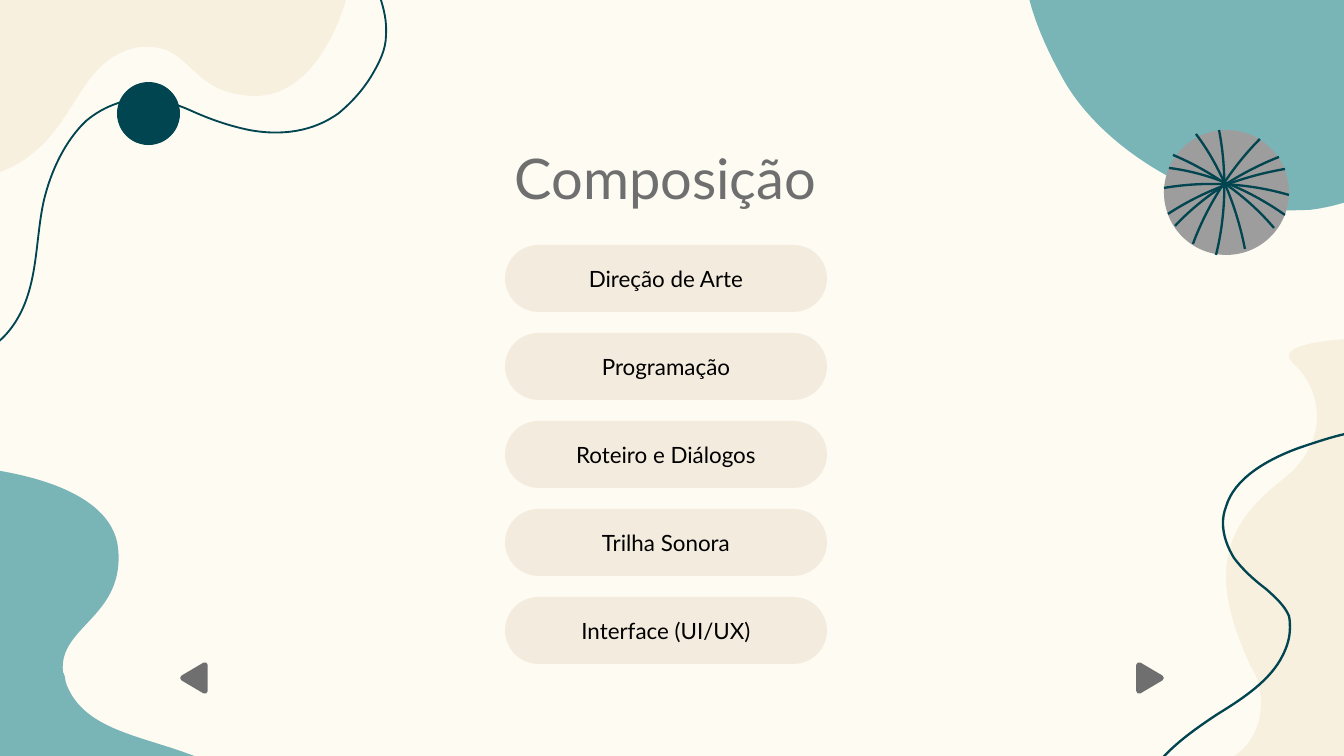
from lxml import etree
from pptx import Presentation
from pptx.dml.color import RGBColor
from pptx.enum.shapes import MSO_SHAPE
from pptx.enum.text import MSO_ANCHOR, PP_ALIGN
from pptx.oxml.ns import qn
from pptx.util import Pt

SCALE = 914400 / 134.4
CREAM, TEAL, DARK, GRAY = "F8F0DF", "79B4B7", "004550", "6F6F6F"


def px(n):
    return round(n * SCALE)


def paint(fmt, color):
    """Make a fill solid, or remove it when color is None."""
    if color is None:
        fmt.background()
    else:
        fmt.solid()
        fmt.fore_color.rgb = RGBColor.from_string(color)


def style(sp, fill=None, line=None, width=1):
    sp.shadow.inherit = False
    paint(sp.fill, fill)
    paint(sp.line.fill, line)
    if line:
        sp.line.width = Pt(width)
        etree.SubElement(sp.line._ln, qn("a:round"))
    return sp


def add_preset(s, kind, x, y, w, h, **look):
    sp = s.shapes.add_shape(kind, px(x), px(y), px(w), px(h))
    return style(sp, **look)


def add_curve(s, x, y, start, segments, close=False, **look):
    """Each segment is a line end (x, y) or three curve points in six numbers."""
    fb = s.shapes.build_freeform(px(x + start[0]), px(y + start[1]))
    fb.add_line_segments([(px(x + seg[-2]), px(y + seg[-1])) for seg in segments],
                         close=close)
    sp = fb.convert_to_shape()
    steps = list(sp._element.iter(qn("a:lnTo")))
    for step, seg in zip(steps, segments):
        if len(seg) == 6:
            step.tag = qn("a:cubicBezTo")
            for i in (0, 1):
                pt = etree.Element(qn("a:pt"), x=str(px(x + seg[2 * i]) - sp.left),
                                   y=str(px(y + seg[2 * i + 1]) - sp.top))
                step.insert(i, pt)
    return style(sp, **look)


def top_left_corner(s, x, y):
    add_curve(s, x, y, (-55, -11), [
        (-55, -11, -120, 180, -36, 180), (-32, 180, -28, 180, -23, 179),
        (81, 157, 66, 59, 140, 47), (143, 47, 146, 47, 149, 47),
        (192, 47, 191, 95, 255, 96), (324, 96, 348, -7, 348, -7),
    ], close=True, fill=CREAM)
    add_curve(s, x, y, (333, -69), [
        (344, -59, 355, -47, 363, -35), (370, -26, 376, -15, 380, -3),
        (384, 9, 387, 22, 386, 35), (386, 50, 379, 63, 372, 75),
        (363, 90, 352, 102, 339, 113), (313, 132, 281, 136, 249, 130),
        (230, 126, 212, 120, 194, 112), (181, 106, 167, 101, 153, 99),
        (129, 97, 105, 105, 86, 121), (65, 141, 51, 171, 44, 200),
        (36, 235, 38, 274, 23, 308), (15, 326, 1, 344, -17, 351),
        (-27, 355, -39, 357, -49, 355),
    ], line=DARK, width=1)
    add_preset(s, MSO_SHAPE.OVAL, x + 117, y + 82, 63, 63, fill=DARK)


def bottom_left_corner(s, x, y):
    add_curve(s, x, y, (12, 446), [
        (12, 446, 297, 478, 285, 388), (284, 383, 282, 378, 281, 373),
        (234, 264, 94, 301, 66, 223), (65, 219, 65, 215, 63, 212),
        (58, 166, 126, 157, 118, 87), (108, 12, -43, 6, -43, 6),
    ], close=True, fill=TEAL)


def top_right_corner(s, x, y):
    add_curve(s, x, y, (253, 210), [
        (264, 211, 276, 210, 285, 210), (417, 194, 391, 87, 418, 5),
        (3, -110), (0, -65, -16, -20, 38, 77), (74, 144, 168, 204, 253, 210),
    ], close=True, fill=TEAL)


def bottom_right_corner(s, x, y):
    add_curve(s, x, y, (9, 509), [
        (9, 533, 15, 554, 15, 554), (224, 561), (224, 9),
        (224, 9, 162, 11, 162, 26), (162, 29, 165, 33, 169, 36),
        (181, 48, 190, 66, 190, 87), (190, 108, 179, 132, 155, 150),
        (126, 173, 99, 201, 99, 247), (99, 271, 107, 300, 124, 337),
        (131, 347, 134, 361, 134, 373), (134, 404, 116, 433, 73, 437),
        (19, 441, 9, 478, 9, 509),
    ], close=True, fill=CREAM)
    add_curve(s, x, y, (229, 102), [
        (210, 105, 190, 112, 172, 118), (139, 130, 107, 149, 99, 177),
        (97, 182, 96, 188, 96, 193), (96, 206, 101, 218, 107, 228),
        (116, 240, 127, 250, 139, 259), (148, 267, 158, 276, 162, 286),
        (163, 290, 163, 294, 163, 298), (163, 308, 160, 317, 156, 325),
        (144, 350, 117, 368, 91, 384), (59, 405, 31, 426, 16, 456),
        (8, 469, 3, 483, 3, 499), (3, 512, 9, 520, 18, 526),
        (38, 538, 68, 536, 92, 534), (142, 529, 190, 517, 237, 502),
    ], close=True, line=DARK, width=1.25)


def striped_ball(s, x, y, size):
    add_preset(s, MSO_SHAPE.OVAL, x, y, size, size, fill="9D9D9D")
    stripes = [
        (96, 9, 67, 38, 43, 76, 29, 114), (115, 27, 77, 42, 39, 66, 11, 96),
        (121, 39, 80, 46, 39, 61, 4, 84), (0, 58, 41, 51, 84, 53, 125, 65),
        (5, 38, 46, 43, 87, 61, 121, 85), (55, 0, 63, 41, 62, 85, 52, 125),
        (9, 25, 47, 41, 83, 66, 110, 98), (32, 4, 57, 37, 73, 78, 81, 119),
    ]
    for stripe in stripes:
        add_curve(s, x, y, stripe[:2], [stripe[2:]], line=DARK, width=1.25)


def set_text(sp, text, size, color, anchor):
    tf = sp.text_frame
    tf.text = text
    tf.word_wrap = True
    tf.vertical_anchor = anchor
    tf.margin_left = tf.margin_right = tf.margin_top = tf.margin_bottom = px(13)
    p = tf.paragraphs[0]
    p.alignment = PP_ALIGN.CENTER
    p.font.name = "Lato"
    p.font.size = Pt(size)
    p.font.color.rgb = RGBColor.from_string(color)


def title(s, x, y, w, h):
    sp = s.shapes.title
    sp.left, sp.top, sp.width, sp.height = px(x), px(y), px(w), px(h)
    set_text(sp, "Composição", 30, GRAY, MSO_ANCHOR.BOTTOM)


def topic_pills(s, x, y, w, h, pitch, topics):
    for i, topic in enumerate(topics):
        sp = add_preset(s, MSO_SHAPE.ROUNDED_RECTANGLE, x, y + i * pitch, w, h,
                        fill="C5A681")
        sp.adjustments[0] = 0.5
        color = sp.fill._xPr.find(qn("a:solidFill"))[0]
        etree.SubElement(color, qn("a:alpha"), val="18000")
        set_text(sp, topic, 12, "000000", MSO_ANCHOR.MIDDLE)


def page_arrow(s, x, y, rotation):
    sp = add_preset(s, MSO_SHAPE.ISOSCELES_TRIANGLE, x, y, 26, 22,
                    fill=GRAY, line=GRAY, width=3)
    sp.rotation = rotation


def main():
    prs = Presentation()
    prs.slide_width, prs.slide_height = px(1344), px(756)
    s = prs.slides.add_slide(prs.slide_layouts[5])
    paint(s.background.fill, "FEFBF3")
    title(s, 351, 65, 629, 159)
    bottom_right_corner(s, 1127, 330)
    top_left_corner(s, 0, 0)
    bottom_left_corner(s, 0, 460)
    top_right_corner(s, 1024, 0)
    page_arrow(s, 1137, 667, 90)
    page_arrow(s, 181, 667, 270)
    striped_ball(s, 1164, 130, 125)
    topic_pills(s, 505, 245, 322, 67, 88, [
        "Direção de Arte", "Programação", "Roteiro e Diálogos",
        "Trilha Sonora", "Interface (UI/UX)"])
    prs.save("out.pptx")


if __name__ == "__main__":
    main()
